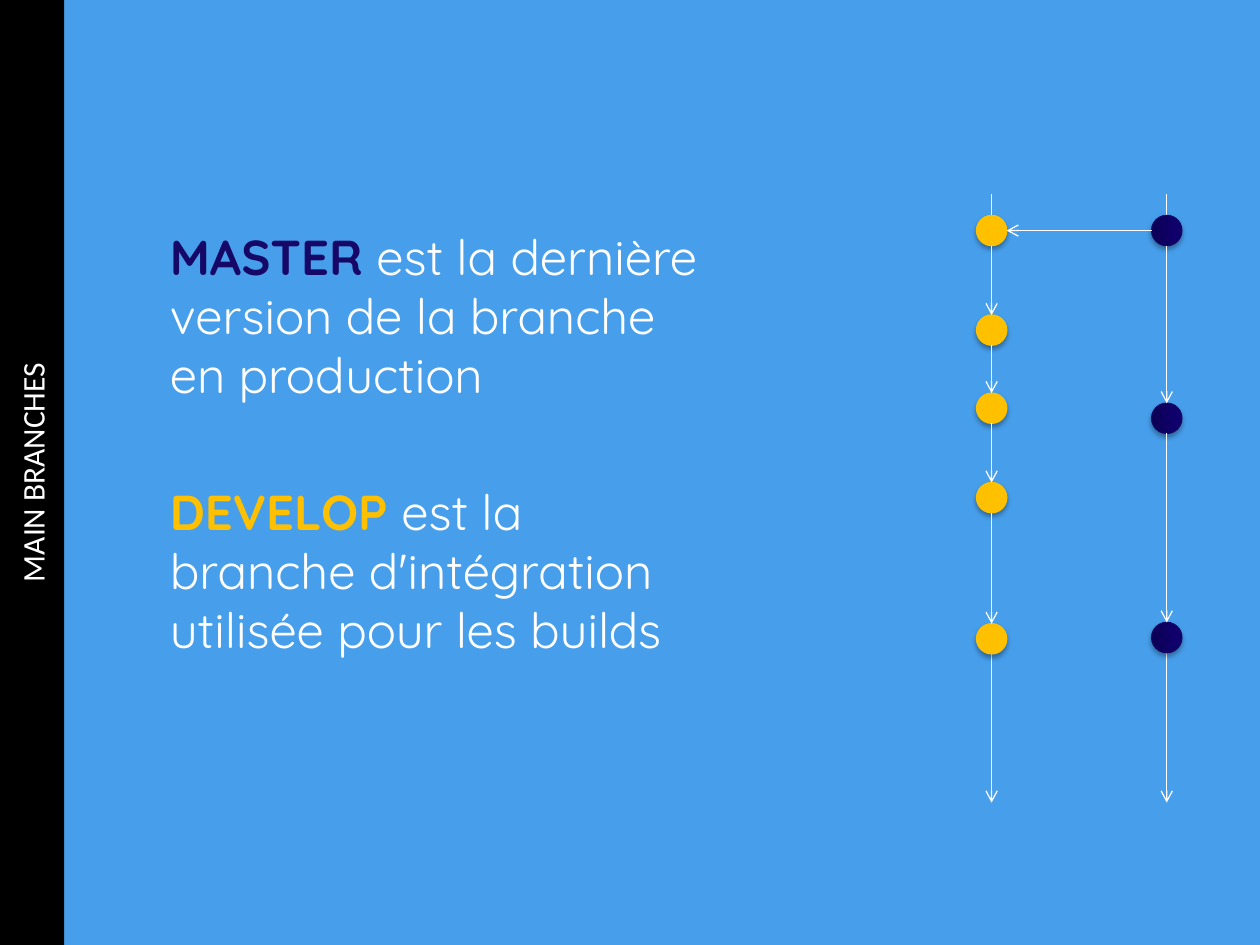
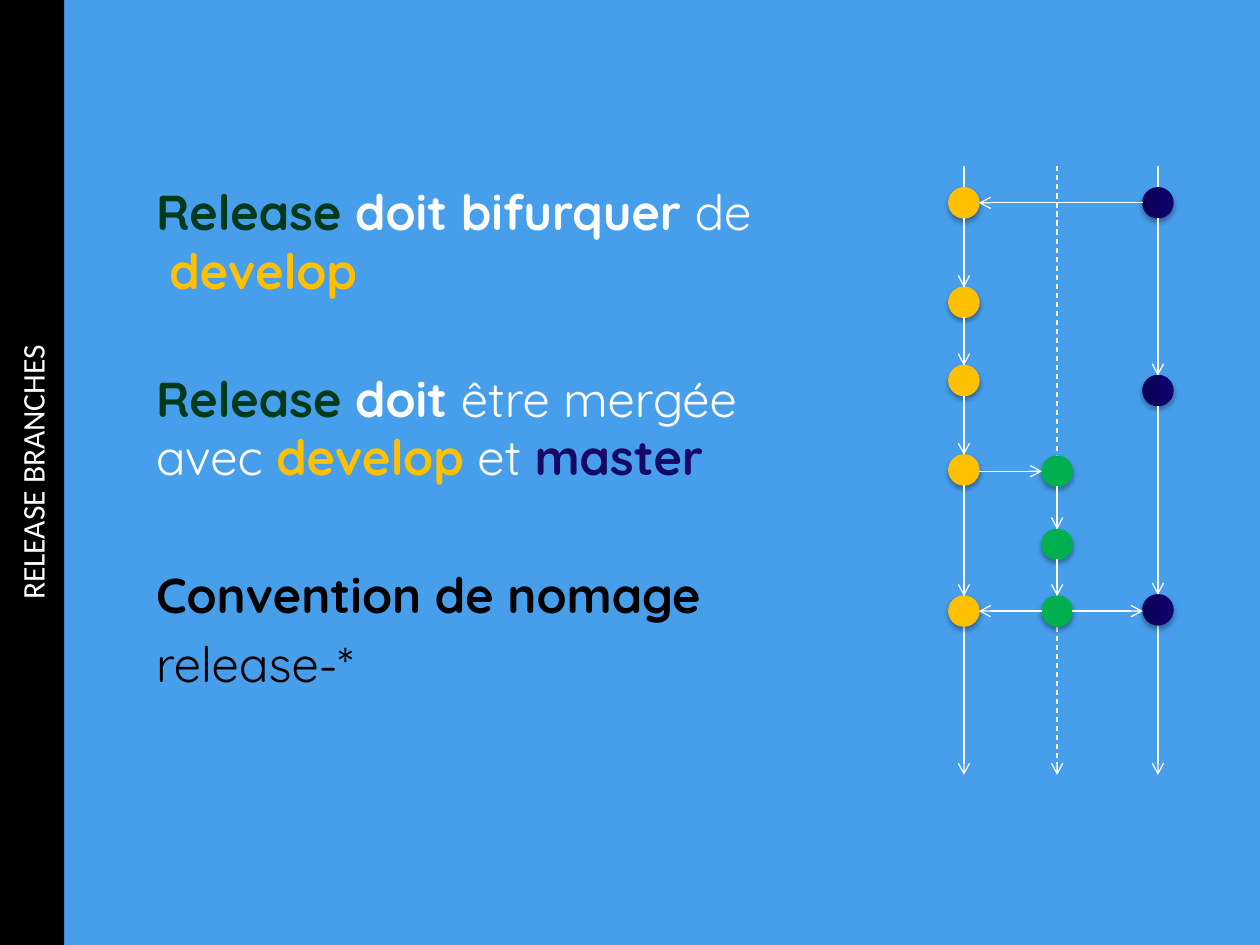
from dataclasses import dataclass
from itertools import pairwise

from lxml import etree
from pptx import Presentation
from pptx import util as u
from pptx.dml.color import RGBColor
from pptx.enum import dml, shapes, text
from pptx.oxml import ns


@dataclass(frozen=True)
class Theme:
    background: str = "479FEC"
    band: str = "000000"
    white: str = "FFFFFF"
    black: str = "000000"
    master: str = "150867"
    master_line: str = "130667"
    master_gradient: tuple = ("0B0053", "0F006C")
    develop: str = "FFC000"
    release: str = "00B050"
    release_text: str = "003A1A"
    body_font: str = "Quicksand"
    body_size: int = 28
    band_font: str = "Calibri"
    band_size: int = 18
    line_width: float = 0.75


THEME = Theme()
SLIDE_W, SLIDE_H = 10, 7.5
BAND_W = 0.51
DOT = 0.24
TRUNK_LENGTH = 4.83
NO_BREAK_SPACE = chr(160)
# Commit centres, in inches below the top of the trunk
DEVELOP_COMMITS = (0.29, 1.08, 1.7, 2.41, 3.53)
MASTER_COMMITS = (0.29, 1.78, 3.52)
RELEASE_COMMITS = (2.42, 3, 3.53)


def sub(parent, tag, **attributes):
    return etree.SubElement(parent, ns.qn(tag), attributes)


class Deck:
    def __init__(self, theme):
        self.theme = theme
        self.prs = Presentation()
        self.prs.slide_width = u.Inches(SLIDE_W)
        self.prs.slide_height = u.Inches(SLIDE_H)
        background = self.prs.slide_master.background.fill
        background.solid()
        background.fore_color.rgb = RGBColor.from_string(theme.background)
        self.slide = None

    def new_slide(self, topic):
        """Add a slide whose topic runs up the black band on the left."""
        self.slide = self.prs.slides.add_slide(self.prs.slide_layouts[6])
        band = self.slide.shapes.add_shape(
            shapes.MSO_SHAPE.RECTANGLE, u.Inches(0), u.Inches(0),
            u.Inches(BAND_W), u.Inches(SLIDE_H))
        band.shadow.inherit = False
        band.fill.solid()
        band.fill.fore_color.rgb = RGBColor.from_string(self.theme.band)
        band.line.fill.background()
        frame = band.text_frame
        frame.text = topic
        frame.vertical_anchor = text.MSO_ANCHOR.MIDDLE
        frame._txBody.bodyPr.set("vert", "vert270")
        label = frame.paragraphs[0]
        label.alignment = text.PP_ALIGN.CENTER
        self.style(label.runs[0], self.theme.white, False,
                   self.theme.band_font, self.theme.band_size)

    def style(self, run, color, bold, font=None, size=None):
        run.font.name = font or self.theme.body_font
        run.font.size = u.Pt(size or self.theme.body_size)
        run.font.bold = bold
        run.font.color.rgb = RGBColor.from_string(color)

    def rules(self, left, top, width, height, paragraphs):
        """Write paragraphs given as (space before, [(words, colour, bold), ...])."""
        box = self.slide.shapes.add_textbox(
            u.Inches(left), u.Inches(top), u.Inches(width), u.Inches(height))
        frame = box.text_frame
        frame.word_wrap = True
        for index, (space, pieces) in enumerate(paragraphs):
            rule = frame.add_paragraph() if index else frame.paragraphs[0]
            rule.space_before = u.Pt(space)
            for words, color, bold in pieces:
                run = rule.add_run()
                run.text = words
                self.style(run, color, bold)

    def arrow(self, x1, y1, x2, y2, dashed=False):
        link = self.slide.shapes.add_connector(
            shapes.MSO_CONNECTOR.STRAIGHT,
            u.Inches(x1), u.Inches(y1), u.Inches(x2), u.Inches(y2))
        link.line.color.rgb = RGBColor.from_string(self.theme.white)
        link.line.width = u.Pt(self.theme.line_width)
        if dashed:
            link.line.dash_style = dml.MSO_LINE.DASH
        sub(link.line._get_or_add_ln(), "a:tailEnd", type="arrow")
        sub(link._element.spPr, "a:effectLst")

    def commit(self, x, y, fill, line):
        """Draw a commit dot; a pair of fill colours makes a gradient."""
        dot = self.slide.shapes.add_shape(
            shapes.MSO_SHAPE.OVAL, u.Inches(x - DOT / 2), u.Inches(y - DOT / 2),
            u.Inches(DOT), u.Inches(DOT))
        dot.rotation = 90
        if isinstance(fill, tuple):
            dot.fill.gradient()
            dot.fill.gradient_angle = 90
            for stop, color, position in zip(dot.fill.gradient_stops, fill, (0, 0.8)):
                stop.color.rgb = RGBColor.from_string(color)
                stop.position = position
        else:
            dot.fill.solid()
            dot.fill.fore_color.rgb = RGBColor.from_string(fill)
        dot.line.color.rgb = RGBColor.from_string(line)
        dot.line.width = u.Pt(self.theme.line_width)
        dot.shadow.inherit = False
        effects = dot._element.spPr.find(ns.qn("a:effectLst"))
        shadow = sub(effects, "a:outerShdw", blurRad=str(u.Pt(3.1)),
                     dist=str(u.Pt(1.8)), dir="5400000", rotWithShape="0")
        sub(sub(shadow, "a:srgbClr", val="000000"), "a:alpha", val="35000")

    def branch(self, x, top, commits, fill, line, dashed=False):
        """Draw a trunk, its commits and the arrows from each commit to the next."""
        self.arrow(x, top, x, top + TRUNK_LENGTH, dashed)
        for offset in commits:
            self.commit(x, top + offset, fill, line)
        for start, end in pairwise(commits):
            self.arrow(x, top + start + DOT / 2, x, top + end - DOT / 2)

    def hop(self, x1, x2, y):
        """Draw an arrow across from one branch's commit to another's."""
        gap = DOT / 2 if x2 > x1 else -DOT / 2
        self.arrow(x1 + gap, y, x2 - gap, y)

    def main_branches(self, develop_x, master_x, top):
        t = self.theme
        self.branch(develop_x, top, DEVELOP_COMMITS, t.develop, t.develop)
        self.branch(master_x, top, MASTER_COMMITS, t.master_gradient, t.master_line)
        self.hop(master_x, develop_x, top + MASTER_COMMITS[0])


def main_branches_slide(deck):
    t = deck.theme
    deck.new_slide("MAIN BRANCHES")
    deck.rules(1.25, 1.75, 4.42, 4.95, [
        (0, [("MASTER ", t.master, True),
             ("est la dernière version de la branche en production", t.white, False)]),
        (45, [("DEVELOP ", t.develop, True),
              ("est la branche d'intégration utilisée pour les builds", t.white, False)]),
    ])
    deck.main_branches(7.87, 9.26, 1.54)


def release_branches_slide(deck):
    t = deck.theme
    deck.new_slide("RELEASE BRANCHES")
    deck.rules(1.14, 1.39, 5.27, 4.95, [
        (0, [("Release ", t.release_text, True), ("doit bifurquer ", t.white, True),
             ("de " + NO_BREAK_SPACE, t.white, False), ("develop", t.develop, True)]),
        (39.5, [("Release ", t.release_text, True), ("doit ", t.white, True),
                ("être mergée avec ", t.white, False), ("develop ", t.develop, True),
                ("et ", t.white, False), ("master", t.master, True)]),
        (45, [("Convention de nomage", t.black, True)]),
        (5.6, [("release-*", t.black, False)]),
    ])
    develop_x, release_x, master_x, top = 7.65, 8.39, 9.19, 1.32
    deck.main_branches(develop_x, master_x, top)
    deck.branch(release_x, top, RELEASE_COMMITS, t.release, t.release, dashed=True)
    deck.hop(develop_x, release_x, top + RELEASE_COMMITS[0])
    for target_x in (develop_x, master_x):
        deck.hop(release_x, target_x, top + RELEASE_COMMITS[-1])


def main():
    deck = Deck(THEME)
    main_branches_slide(deck)
    release_branches_slide(deck)
    deck.prs.save("out.pptx")


if __name__ == "__main__":
    main()
